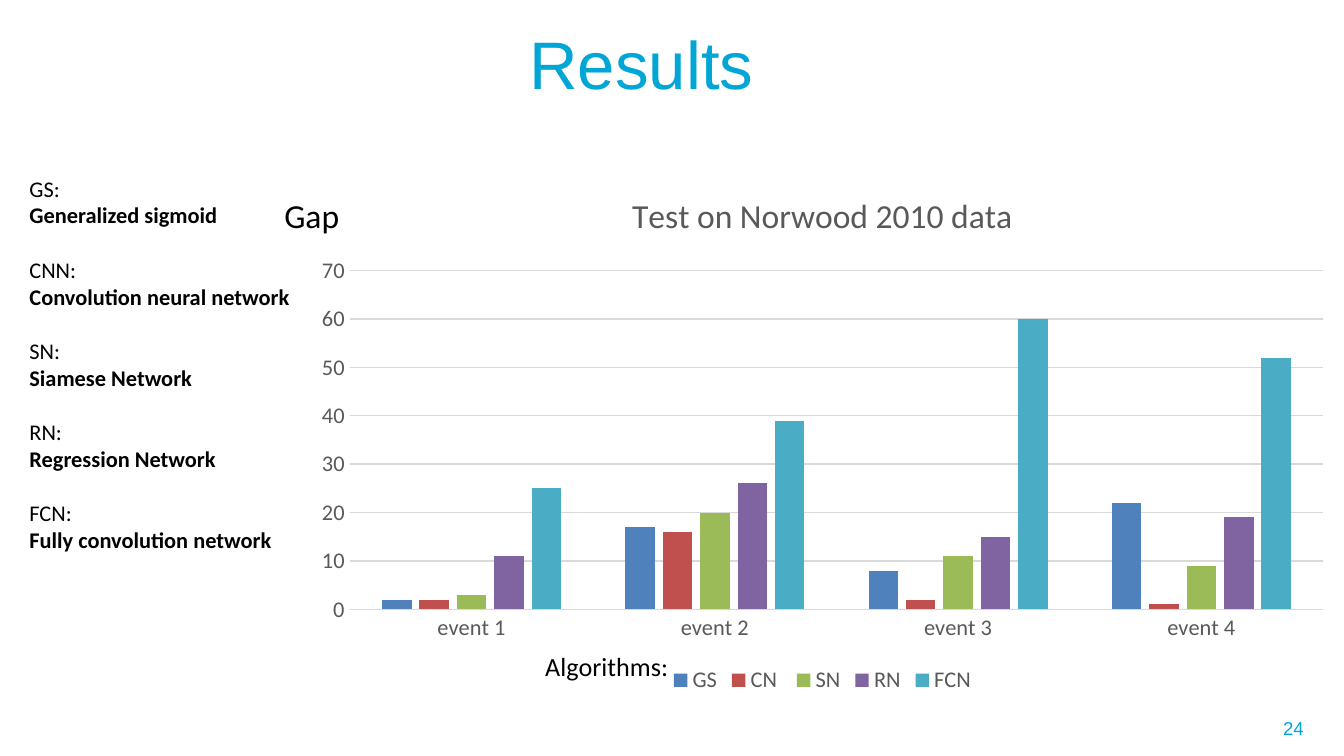
from lxml.etree import SubElement
from pptx import Presentation
from pptx.chart.data import CategoryChartData
from pptx.dml.color import RGBColor
from pptx.enum.chart import XL_CHART_TYPE, XL_LEGEND_POSITION, XL_TICK_MARK
from pptx.enum.text import MSO_ANCHOR, MSO_AUTO_SIZE, PP_ALIGN
from pptx.oxml.ns import qn
from pptx.util import Emu, Pt

EMU_PER_PX = 914400 / 134.4
COLOURS = {
    "accent": "00A6D6", "text": "000000", "label": "595959", "rule": "D9D9D9",
    "GS": "4F81BD", "CN ": "C0504D", "SN": "9BBB59", "RN": "8064A2", "FCN": "4BACC6",
}
EVENTS = ["event 1", "event 2", "event 3", "event 4"]
GAPS = {
    "GS": (2, 17, 8, 22),
    "CN ": (2, 16, 2, 1),
    "SN": (3, 20, 11, 9),
    "RN": (11, 26, 15, 19),
    "FCN": (25, 39, 60, 52),
}
GLOSSARY = {
    "GS:": "Generalized sigmoid",
    "CNN:": "Convolution neural network",
    "SN:": "Siamese Network",
    "RN:": "Regression Network",
    "FCN:": "Fully convolution network",
}


def px(length):
    return Emu(round(length * EMU_PER_PX))


def colour(key):
    return RGBColor.from_string(COLOURS[key])


class SlideBuilder:
    """Holds the text style and the slide being filled."""

    def __init__(self, slide, font="Calibri"):
        self.slide = slide
        self.font = font

    def style(self, font, size, key="text", name=None, bold=False):
        values = {"name": name or self.font, "size": Pt(size), "bold": bold}
        for attribute, value in values.items():
            setattr(font, attribute, value)
        font.color.rgb = colour(key)

    def place(self, shape, box, anchor=MSO_ANCHOR.TOP, wrap=True):
        for side, length in zip(("left", "top", "width", "height"), box):
            setattr(shape, side, px(length))
        frame_format = {"word_wrap": wrap, "auto_size": MSO_AUTO_SIZE.NONE,
                        "vertical_anchor": anchor}
        for attribute, value in frame_format.items():
            setattr(shape.text_frame, attribute, value)

    def add_text(self, paragraph, text, size, **font_style):
        run = paragraph.add_run()
        run.text = text
        self.style(run.font, size, **font_style)

    def title(self, text, box):
        heading = self.slide.shapes.title
        self.place(heading, box, MSO_ANCHOR.MIDDLE)
        paragraph = heading.text_frame.paragraphs[0]
        paragraph.alignment = PP_ALIGN.LEFT
        self.add_text(paragraph, text, 36, key="accent", name="Arial")

    def label(self, text, box, size, align=PP_ALIGN.LEFT,
              anchor=MSO_ANCHOR.TOP, wrap=True, **font_style):
        label = self.slide.shapes.add_textbox(0, 0, 0, 0)
        self.place(label, box, anchor, wrap)
        paragraph = label.text_frame.paragraphs[0]
        paragraph.alignment = align
        self.add_text(paragraph, text, size, **font_style)

    def glossary(self, entries, box, size=12, entry_gap=14.65):
        body = self.slide.placeholders[1]
        self.place(body, box)
        frame = body.text_frame
        paragraph = None
        for abbreviation, meaning in entries.items():
            gap = 0 if paragraph is None else entry_gap
            for text, bold, space in ((abbreviation, False, gap), (meaning, True, 0)):
                paragraph = frame.paragraphs[0] if paragraph is None else frame.add_paragraph()
                paragraph.alignment = PP_ALIGN.LEFT
                paragraph.space_before = Pt(space)
                self.add_text(paragraph, text, size, bold=bold)
                properties = paragraph._p.get_or_add_pPr()
                properties.set("marL", "0")
                properties.set("indent", "0")
                SubElement(properties, qn("a:buNone"))

    def column_chart(self, heading, categories, series_values, box):
        data = CategoryChartData()
        data.categories = categories
        for name, values in series_values.items():
            data.add_series(name, values)
        chart = self.slide.shapes.add_chart(
            XL_CHART_TYPE.COLUMN_CLUSTERED, *map(px, box), data).chart
        self.style(chart.font, 10)
        chart.has_title = True
        self.add_text(chart.chart_title.text_frame.paragraphs[0], heading, 18, key="label")
        chart.chart_title.include_in_layout = False

        chart.has_legend = True
        chart.legend.position = XL_LEGEND_POSITION.BOTTOM
        chart.legend.include_in_layout = False
        self.style(chart.legend.font, 12, "label")

        for axis in (chart.category_axis, chart.value_axis):
            axis.major_tick_mark = axis.minor_tick_mark = XL_TICK_MARK.NONE
            self.style(axis.tick_labels.font, 12, "label")
        chart.value_axis.format.line.fill.background()
        chart.value_axis.has_major_gridlines = True
        for rule in (chart.category_axis.format.line,
                     chart.value_axis.major_gridlines.format.line):
            rule.color.rgb = colour("rule")
            rule.width = Pt(0.75)

        columns = chart.plots[0]
        for attribute, value in {"gap_width": 219, "overlap": -27,
                                 "vary_by_categories": False}.items():
            setattr(columns, attribute, value)
        for series in columns.series:
            series.format.fill.solid()
            series.format.fill.fore_color.rgb = colour(series.name)


def main():
    deck = Presentation()
    deck.slide_width, deck.slide_height = px(1344), px(756)
    results = SlideBuilder(deck.slides.add_slide(deck.slide_layouts[1]))
    results.title("Results", (516, 0, 1042, 126))
    results.column_chart("Test on Norwood 2010 data", EVENTS, GAPS,
                         (301, 168, 1043, 531))
    results.label("Gap", (271, 188, 83, 54), 18, wrap=False)
    results.label("Algorithms:", (532, 644, 228, 46), 14)
    results.glossary(GLOSSARY, (16, 168, 327, 421))
    results.label("24", (977, 708, 340, 40), 10, PP_ALIGN.RIGHT,
                  MSO_ANCHOR.MIDDLE, key="accent", name="Arial")
    deck.save("out.pptx")


if __name__ == "__main__":
    main()
